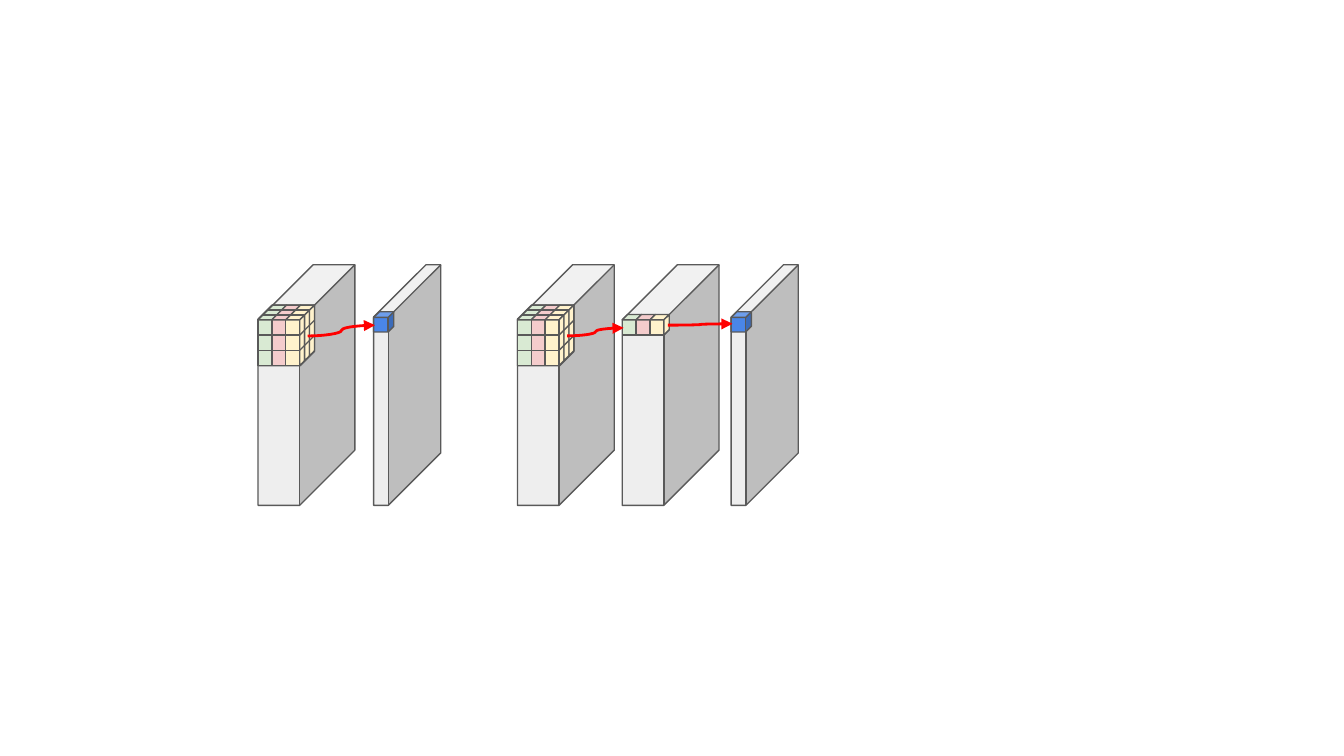
from lxml import etree
from pptx import Presentation
from pptx.dml.color import RGBColor
from pptx.enum.shapes import MSO_CONNECTOR, MSO_SHAPE
from pptx.oxml.ns import qn
from pptx.util import Inches, Pt

CUBE, RECTANGLE = MSO_SHAPE.CUBE, MSO_SHAPE.RECTANGLE
PARALLELOGRAM = MSO_SHAPE.PARALLELOGRAM
STRAIGHT, CURVE = MSO_CONNECTOR.STRAIGHT, MSO_CONNECTOR.CURVE

COLORS = {
    "layer": "EEEEEE", "outline": "595959", "arrow": "FF0000", "output": "4A86E8",
    "green": "D9EAD3", "pink": "F4CCCC", "yellow": "FFF2CC",
}
CHANNELS = ("green", "pink", "yellow")
LAYER_TOP, LAYER_HEIGHT = 1.97, 1.79
KERNEL_WIDTH, KERNEL_HEIGHT, FRONT_TOP = 0.31, 0.34, 2.38
CELL_WIDTH, CELL_HEIGHT = KERNEL_WIDTH / len(CHANNELS), KERNEL_HEIGHT / 3


def color(name):
    return RGBColor.from_string(COLORS[name])


def paint(shape, fill):
    shape.shadow.inherit = False
    shape.fill.solid()
    shape.fill.fore_color.rgb = color(fill)
    shape.line.color.rgb = color("outline")
    shape.line.width = Pt(0.75)


def add_solid(slide, kind, left, top, width, height, fill, adjustment=None):
    shape = slide.shapes.add_shape(
        kind, Inches(left), Inches(top), Inches(width), Inches(height))
    if adjustment is not None:
        shape.adjustments[0] = adjustment
    paint(shape, fill)


def add_side_face(slide, points, fill):
    corners = [(Inches(x), Inches(y)) for x, y in points]
    builder = slide.shapes.build_freeform(*corners[0], scale=1.0)
    builder.add_line_segments(corners[1:], close=True)
    paint(builder.convert_to_shape(), fill)


def add_line(slide, start, end, kind=STRAIGHT, stroke="outline", weight=0.75):
    line = slide.shapes.add_connector(
        kind, *(Inches(value) for value in (*start, *end)))
    line.line.color.rgb = color(stroke)
    line.line.width = Pt(weight)
    etree.SubElement(line._element.spPr, qn("a:effectLst"))
    return line


def add_arrow(slide, start, end):
    arrow = add_line(slide, start, end, CURVE, "arrow", 1.5)
    etree.SubElement(arrow.line._get_or_add_ln(), qn("a:tailEnd"), type="triangle")


def add_layer(slide, left, width, slant):
    add_solid(slide, CUBE, left, LAYER_TOP, width, LAYER_HEIGHT, "layer", slant)


def add_output_layer(slide, left):
    """Thin layer with the single computed cell at its front corner."""
    add_layer(slide, left, 0.5, 0.78)
    add_solid(slide, CUBE, left, 2.32, 0.15, 0.15, "output", 0.28)


def add_kernel(slide, left, size, step):
    """Kernel of size x size cells over three channels; step is one cell's depth."""
    depth, height = size * step, size * CELL_HEIGHT
    top, right = FRONT_TOP - depth, left + KERNEL_WIDTH
    if size > 1:
        add_solid(slide, CUBE, left, top, KERNEL_WIDTH + depth, height + depth,
                  "layer", 0.25)

    for column, channel in enumerate(CHANNELS):
        x = left + column * CELL_WIDTH
        add_solid(slide, RECTANGLE, x, FRONT_TOP, CELL_WIDTH, height, channel)
        add_solid(slide, PARALLELOGRAM, x, top, CELL_WIDTH + depth, depth, channel, 1)

    for index in range(size):
        near, far = index * step, (index + 1) * step
        add_side_face(slide, [
            (right + far, FRONT_TOP - far),
            (right + far, FRONT_TOP - far + height),
            (right + near, FRONT_TOP - near + height),
            (right + near, FRONT_TOP - near),
        ], "yellow")

    # A single-cell kernel keeps its outer edges as its only dividing lines.
    for index in range(1, max(size, 2)):
        offset, y = index * step, FRONT_TOP + index * CELL_HEIGHT
        add_line(slide, (left + offset, FRONT_TOP - offset),
                 (right + offset, FRONT_TOP - offset))
        add_line(slide, (left, y), (right, y))
        add_line(slide, (right, y), (right + depth, y - depth))


def add_input_layer(slide, left, kernel_size=3):
    add_layer(slide, left, 0.72, 0.57)
    add_kernel(slide, left, kernel_size, 0.11 / 3 if kernel_size == 3 else 0.04)


def add_standard_convolution(slide, left):
    add_input_layer(slide, left)
    add_output_layer(slide, left + 0.86)
    add_arrow(slide, (left + 0.37, 2.5), (left + 0.87, 2.42))


def add_separable_convolution(slide, left):
    add_input_layer(slide, left)
    add_input_layer(slide, left + 0.78, kernel_size=1)
    add_output_layer(slide, left + 1.59)
    add_arrow(slide, (left + 0.37, 2.5), (left + 0.79, 2.44))
    add_arrow(slide, (left + 1.12, 2.42), (left + 1.6, 2.41))


def main():
    deck = Presentation()
    deck.slide_width = Inches(10)
    deck.slide_height = deck.slide_width * 9 // 16
    slide = deck.slides.add_slide(deck.slide_layouts[6])
    add_standard_convolution(slide, 1.92)
    add_separable_convolution(slide, 3.85)
    deck.save("out.pptx")


if __name__ == "__main__":
    main()
